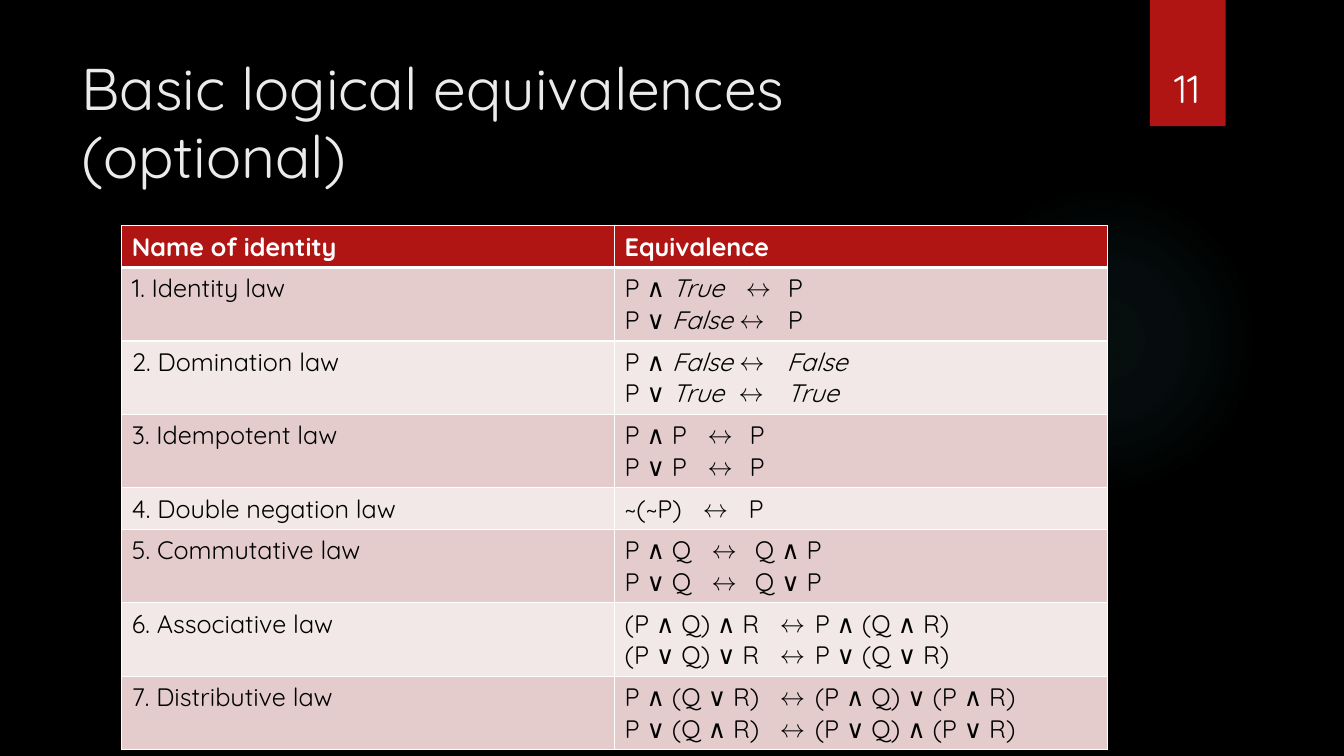
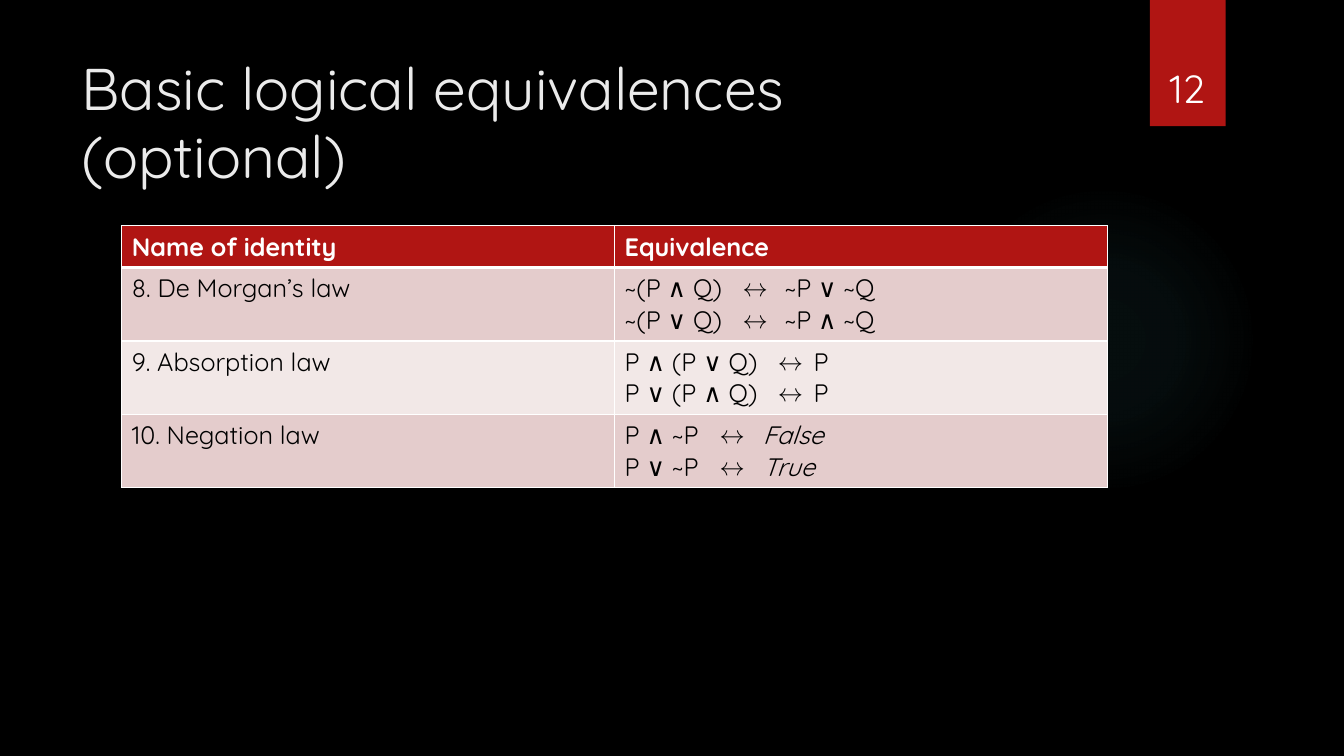
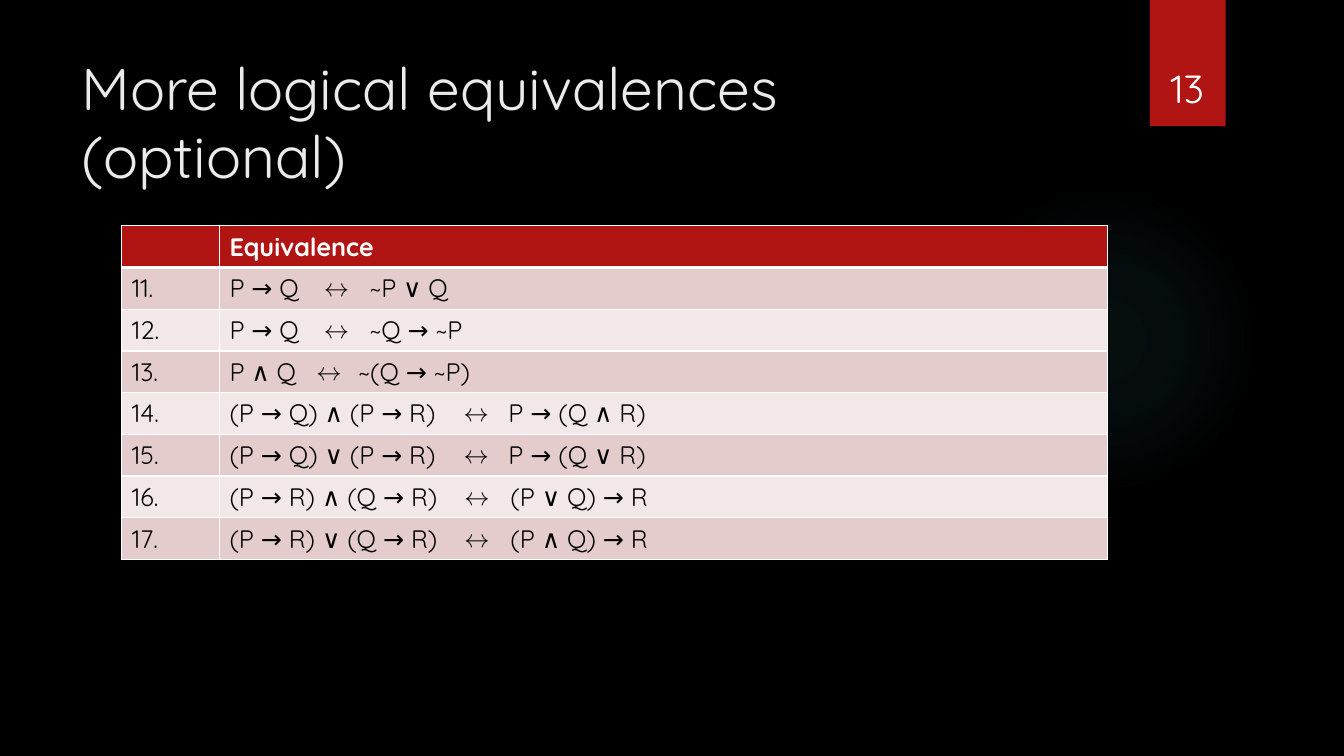
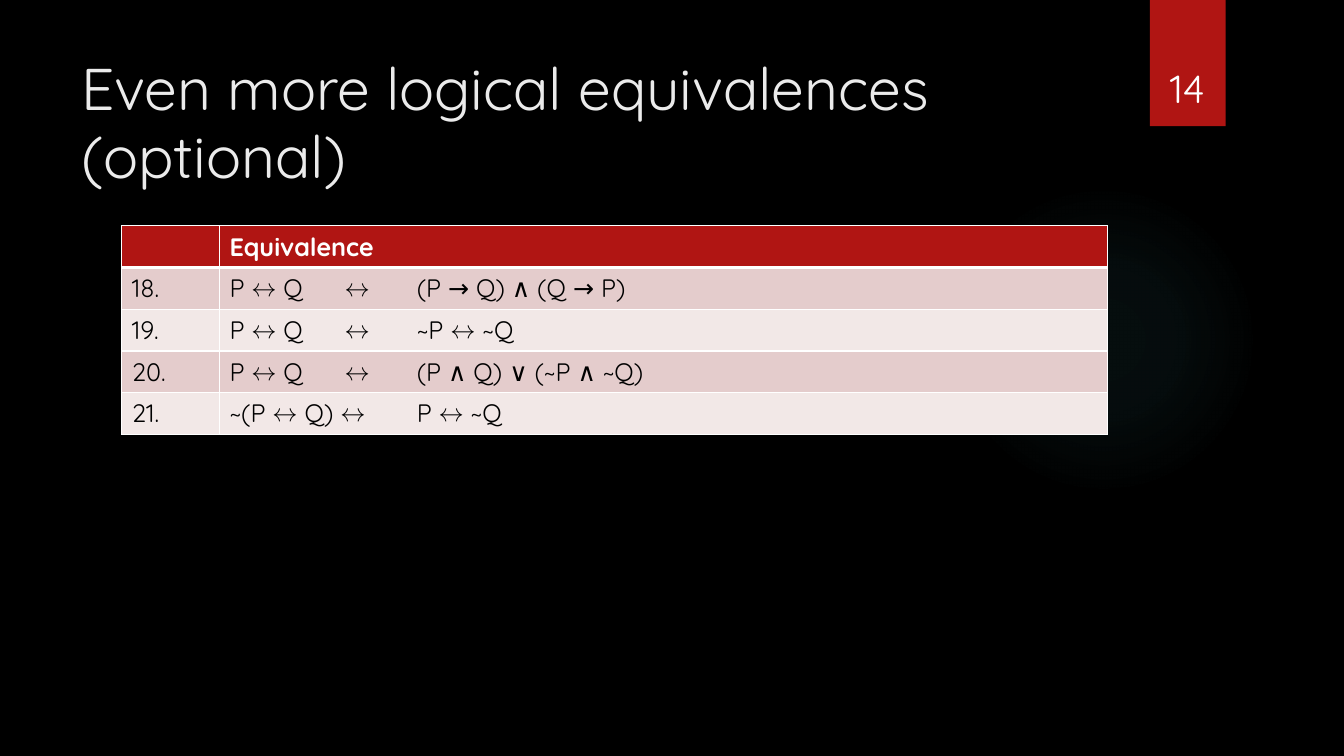
from pptx import Presentation
from pptx.dml.color import RGBColor
from pptx.enum.shapes import MSO_SHAPE
from pptx.enum.text import MSO_ANCHOR, MSO_AUTO_SIZE, PP_ALIGN
from pptx.oxml import parse_xml
from pptx.oxml.ns import nsdecls, qn
from pptx.util import Cm, Pt

FONT = "Quicksand"
COLORS = {
    "background": "000000",
    "title": "EBEBEB",
    "red": "B01513",
    "glow": "50B9C1",
    "white": "FFFFFF",
    "text": "000000",
    "odd": "E4CCCC",
    "even": "F2E8E7",
}
GLOW_STOPS = ((0, 7), (36, 6), (69, 0))
TABLE_WIDTH = 24.84
NAMED_WIDTH = 12.42
NUMBERED_WIDTH = 2.46
NAMED_HEAD = ("Name of identity", "Equivalence")
NUMBERED_HEAD = ("", "Equivalence")
FIRST_NUMBER = 11

BASIC_LAWS = [
    ("1. Identity law", (3.05, 4.11), ["P ∧ *True*\t↔\tP", "P ∨ *False* ↔\tP"]),
    ("2. Domination law", (2.87, 4.08),
     ["P ∧ *False* ↔\t*False*", "P ∨ *True*\t↔\t*True*"]),
    ("3. Idempotent law", (2.09, 3.15), ["P ∧ P\t↔\tP", "P ∨ P\t↔\tP"]),
    ("4. Double negation law", (1.97, 3.12), ["~(~P)\t↔\tP"]),
    ("5. Commutative law", (2.19, 3.28), ["P ∧ Q\t↔\tQ ∧ P", "P ∨ Q\t↔\tQ ∨ P"]),
    ("6. Associative law", (3.91, 4.79),
     ["(P ∧ Q) ∧ R\t↔\tP ∧ (Q ∧ R)", "(P ∨ Q) ∨ R\t↔\tP ∨ (Q ∨ R)"]),
    ("7. Distributive law", (3.91, 4.79),
     ["P ∧ (Q ∨ R)\t↔\t(P ∧ Q) ∨ (P ∧ R)", "P ∨ (Q ∧ R)\t↔\t(P ∨ Q) ∧ (P ∨ R)"]),
]
FURTHER_LAWS = [
    ("8. De Morgan’s law", (2.97, 4.03),
     ["~(P ∧ Q)\t↔\t~P ∨ ~Q", "~(P ∨ Q)\t↔\t~P ∧ ~Q"]),
    ("9. Absorption law", (3.86, 4.76), ["P ∧ (P ∨ Q)\t↔\tP", "P ∨ (P ∧ Q)\t↔\tP"]),
    ("10. Negation law", (2.39, 3.48), ["P ∧ ~P\t↔\t*False*", "P ∨ ~P\t↔\t*True*"]),
]
IMPLICATIONS = [
    ("11.", (2.38, 3.53), ["P → Q\t↔\t~P ∨ Q"]),
    ("12.", (2.38, 3.53), ["P → Q\t↔\t~Q → ~P"]),
    ("13.", (2.19, 3.25), ["P ∧ Q\t↔\t~(Q → ~P)"]),
    ("14.", (5.9, 7.03), ["(P → Q) ∧ (P → R)\t↔\tP → (Q ∧ R)"]),
    ("15.", (5.9, 7.03), ["(P → Q) ∨ (P → R)\t↔\tP → (Q ∨ R)"]),
    ("16.", (5.92, 7.08), ["(P → R) ∧ (Q → R)\t↔\t(P ∨ Q) → R"]),
    ("17.", (5.92, 7.08), ["(P → R) ∨ (Q → R)\t↔\t(P ∧ Q) → R"]),
]
BICONDITIONALS = [
    ("18.", (2.9, 4.72), ["P ↔ Q\t↔\t(P → Q) ∧ (Q → P)"]),
    ("19.", (2.9, 4.72), ["P ↔ Q\t↔\t~P ↔ ~Q"]),
    ("20.", (2.9, 4.72), ["P ↔ Q\t↔\t(P ∧ Q) ∨ (~P ∧ ~Q)"]),
    ("21.", (2.9, 4.72), ["~(P ↔ Q) ↔\tP ↔ ~Q"]),
]
SLIDES = [
    ("Basic", NAMED_HEAD, NAMED_WIDTH, BASIC_LAWS),
    ("Basic", NAMED_HEAD, NAMED_WIDTH, FURTHER_LAWS),
    ("More", NUMBERED_HEAD, NUMBERED_WIDTH, IMPLICATIONS),
    ("Even more", NUMBERED_HEAD, NUMBERED_WIDTH, BICONDITIONALS),
]


def rgb(name):
    """Return the named colour."""
    return RGBColor.from_string(COLORS[name])


def style(p, size, color, bold=False):
    """Set the font of a paragraph."""
    p.font.name = FONT
    p.font.size = Pt(size)
    p.font.bold = bold
    p.font.color.rgb = rgb(color)


def add_title(s, text):
    """Place and format the title placeholder."""
    sp = s.shapes.title
    sp.left, sp.top, sp.width, sp.height = Cm(1.8), Cm(1.27), Cm(26.14), Cm(3.89)
    tf = sp.text_frame
    tf.text = text
    tf.word_wrap = True
    tf.auto_size = MSO_AUTO_SIZE.NONE
    tf.vertical_anchor = MSO_ANCHOR.TOP
    p = tf.paragraphs[0]
    p.alignment = PP_ALIGN.LEFT
    p.line_spacing = 0.97
    style(p, 42, "title")


def add_plain_shape(s, kind, left, top, width, height):
    """Add a red preset shape without line or shadow."""
    sp = s.shapes.add_shape(kind, Cm(left), Cm(top), Cm(width), Cm(height))
    sp.shadow.inherit = False
    sp.line.fill.background()
    sp.fill.solid()
    sp.fill.fore_color.rgb = rgb("red")
    return sp


def add_glow(s):
    """Add the faint round glow."""
    sp = add_plain_shape(s, MSO_SHAPE.OVAL, 23.9, 4.65, 7.82, 7.82)
    stops = "".join(
        f'<a:gs pos="{pos * 1000}"><a:srgbClr val="{COLORS["glow"]}">'
        f'<a:alpha val="{alpha * 1000}"/></a:srgbClr></a:gs>'
        for pos, alpha in GLOW_STOPS)
    grad = parse_xml(
        f'<a:gradFill {nsdecls("a")}><a:gsLst>{stops}</a:gsLst><a:path path="circle">'
        '<a:fillToRect l="50000" t="50000" r="50000" b="50000"/></a:path></a:gradFill>')
    spPr = sp.element.spPr
    spPr.replace(spPr.find(qn("a:solidFill")), grad)


def add_number(s, number):
    """Add the red band with the slide number."""
    add_plain_shape(s, MSO_SHAPE.RECTANGLE, 28.98, 0, 1.91, 3.18)
    tf = s.shapes.add_textbox(Cm(28.75), Cm(0.81), Cm(2.34), Cm(2.13)).text_frame
    tf.word_wrap = True
    tf.vertical_anchor = MSO_ANCHOR.BOTTOM
    p = tf.paragraphs[0]
    p.text = str(number)
    p.alignment = PP_ALIGN.CENTER
    style(p, 28, "white")


def set_tabs(p, stops):
    """Give a paragraph left tab stops in centimetres."""
    tabs = "".join(f'<a:tab pos="{Cm(stop)}" algn="l"/>' for stop in stops)
    p._p.get_or_add_pPr().insert(
        0, parse_xml(f'<a:tabLst {nsdecls("a")}>{tabs}</a:tabLst>'))


def format_cell(cell, fill, top=1, bottom=1):
    """Set the borders and fill of a cell."""
    tcPr = cell._tc.get_or_add_tcPr()
    for side, width in (("L", 1), ("R", 1), ("T", top), ("B", bottom)):
        tcPr.append(parse_xml(
            f'<a:ln{side} {nsdecls("a")} w="{Pt(width)}"><a:solidFill>'
            f'<a:srgbClr val="{COLORS["white"]}"/></a:solidFill></a:ln{side}>'))
    cell.fill.solid()
    cell.fill.fore_color.rgb = rgb(fill)


def write_lines(cell, lines, color="text", bold=False, stops=()):
    """Write one paragraph a line, with starred words in italics."""
    tf = cell.text_frame
    for i, line in enumerate(lines):
        p = tf.add_paragraph() if i else tf.paragraphs[0]
        for j, part in enumerate(line.split("*")):
            if part:
                r = p.add_run()
                r.text = part
                if j % 2:
                    r.font.italic = True
        style(p, 18, color, bold)
        if stops:
            set_tabs(p, stops)


def add_law_table(s, head, first_width, laws):
    """Add the table of equivalences."""
    heights = [1.05] + [0.25 + 0.8 * len(lines) for _, _, lines in laws]
    table = s.shapes.add_table(len(heights), 2, Cm(3.07), Cm(5.69),
                               Cm(TABLE_WIDTH), Cm(sum(heights))).table
    table.horz_banding = False
    for col, width in zip(table.columns, (first_width, TABLE_WIDTH - first_width)):
        col.width = Cm(width)
    for row, height in zip(table.rows, heights):
        row.height = Cm(height)
    for cell, text in zip(table.rows[0].cells, head):
        format_cell(cell, "red", bottom=3)
        write_lines(cell, [text], "white", True)
    for i, (name, stops, lines) in enumerate(laws, 1):
        name_cell, law_cell = table.cell(i, 0), table.cell(i, 1)
        for cell in (name_cell, law_cell):
            format_cell(cell, "odd" if i % 2 else "even", top=3 if i == 1 else 1)
        write_lines(name_cell, [name])
        write_lines(law_cell, lines, stops=stops)


def main():
    """Build and save the presentation."""
    prs = Presentation()
    prs.slide_width, prs.slide_height = Cm(33.87), Cm(19.05)
    fill = prs.slide_master.background.fill
    fill.solid()
    fill.fore_color.rgb = rgb("background")
    for number, (start, head, first_width, laws) in enumerate(SLIDES, FIRST_NUMBER):
        s = prs.slides.add_slide(prs.slide_layouts[5])
        add_glow(s)
        add_title(s, f"{start} logical equivalences\v(optional)")
        add_law_table(s, head, first_width, laws)
        add_number(s, number)
    prs.save("out.pptx")


if __name__ == "__main__":
    main()
